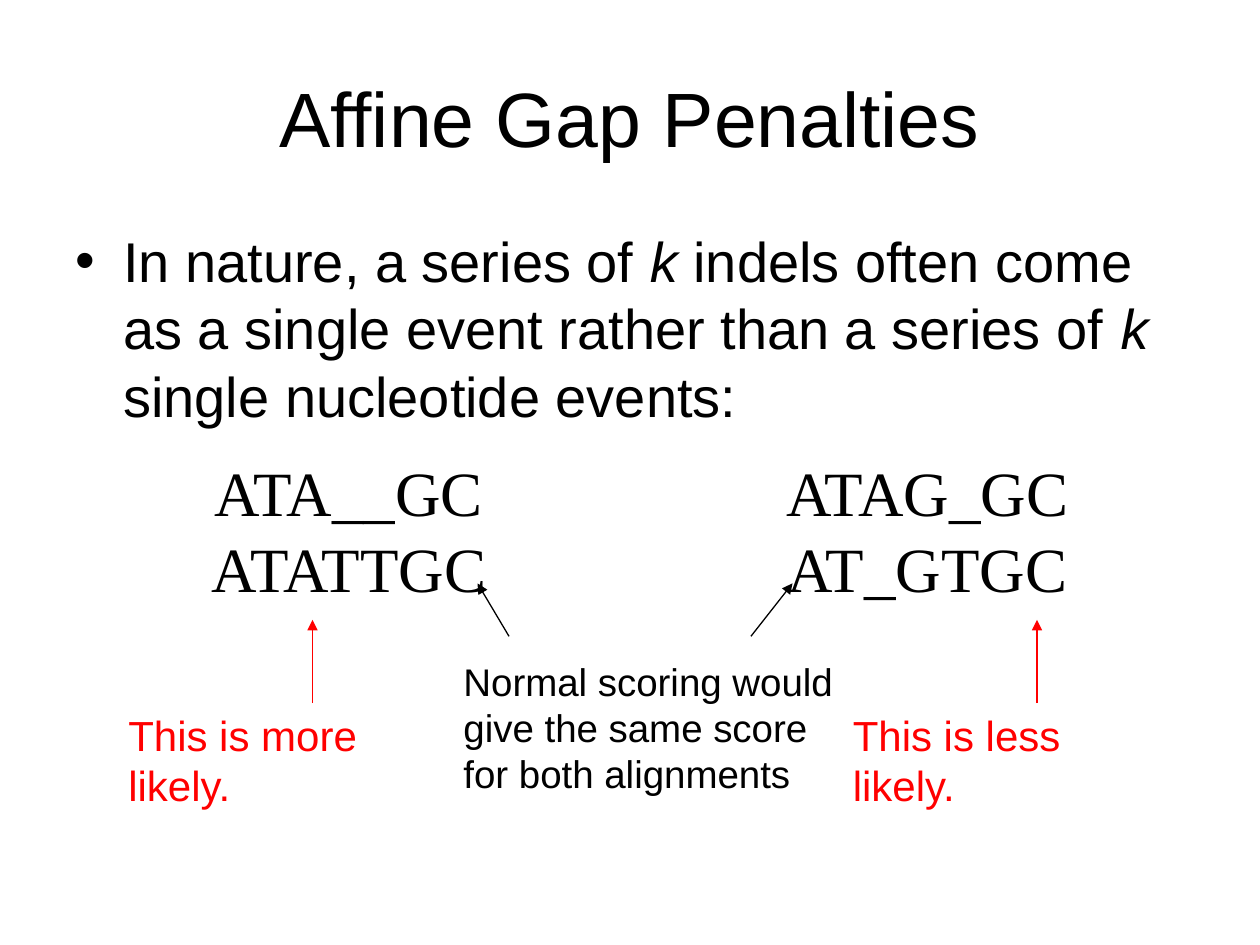
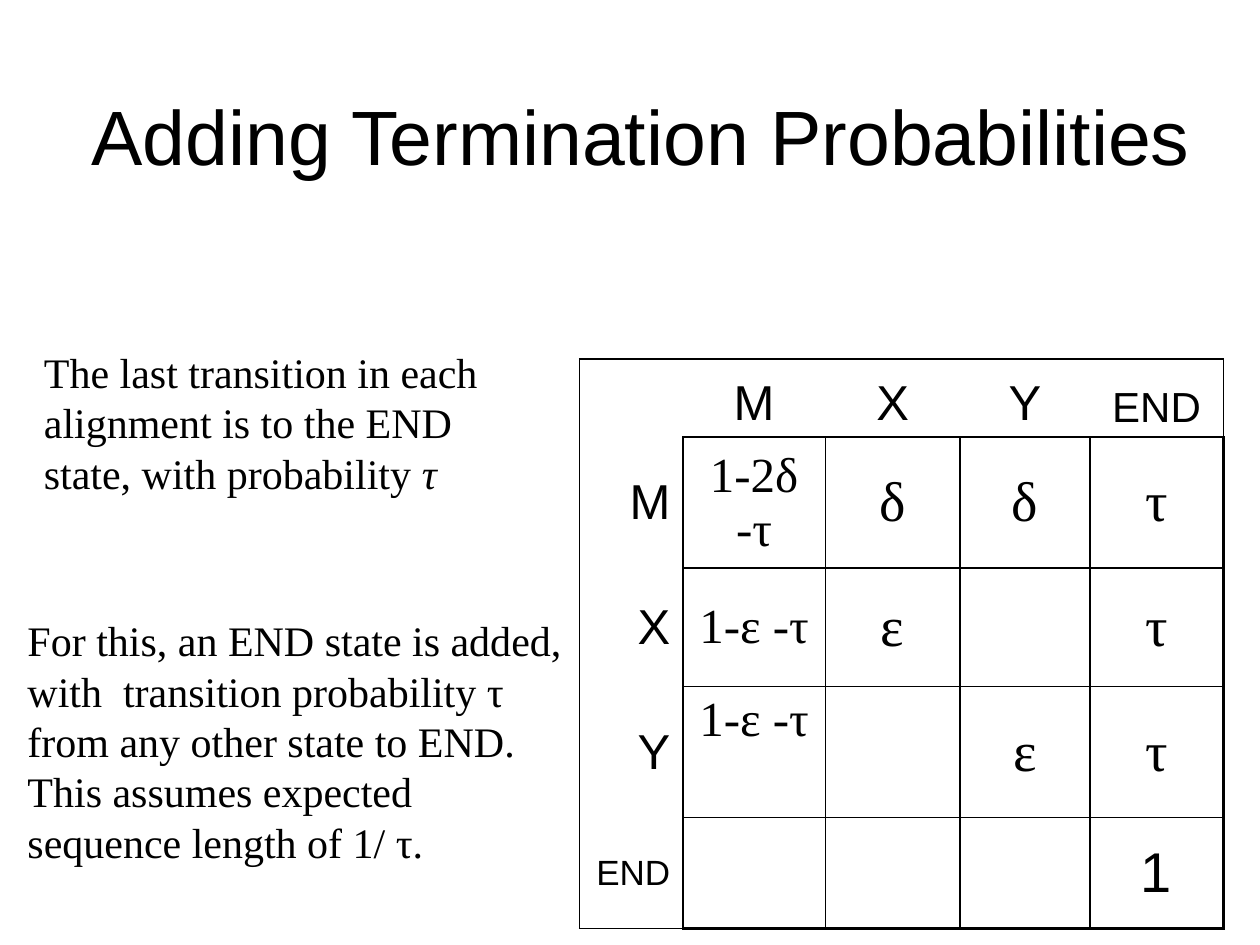
"""Build two slides on affine gap penalties and termination probabilities."""
from lxml import etree
from pptx import Presentation
from pptx import util as u
from pptx.dml.color import RGBColor
from pptx.enum import shapes, text
from pptx.oxml.ns import qn

BLACK = RGBColor(0, 0, 0)
RED = RGBColor(255, 0, 0)
SANS, SERIF = "Arial", "Times New Roman"
LEFT, CENTER, RIGHT = text.PP_ALIGN.LEFT, text.PP_ALIGN.CENTER, text.PP_ALIGN.RIGHT
TOP, MIDDLE, BOTTOM = (text.MSO_ANCHOR.TOP, text.MSO_ANCHOR.MIDDLE,
                       text.MSO_ANCHOR.BOTTOM)

NATURE = [("In nature, a series of ", False), ("k ", True),
          ("indels often come as a single event rather than a series of ", False),
          ("k", True), (" single nucleotide events:", False)]
ALIGNMENTS = [(1.52, ["ATA__GC", "ATATTGC"]), (6.11, ["ATAG_GC", "AT_GTGC"])]
SCORING = "Normal scoring would give the same score for both alignments"
SCORING_ARROWS = [((4.04, 5.05), (3.79, 4.63)), ((5.96, 5.05), (6.29, 4.63))]
VERDICTS = [(0.92, "This is more likely."), (6.67, "This is less likely.")]

LAST_STEP = [("The last transition in each alignment is to the END state, "
              "with probability ", False), ("τ", True)]
END_STATE = ("For this, an END state is added, with  transition probability τ "
             "from any other state to END. This assumes expected sequence "
             "length of 1/ τ.")
TRANSITIONS = [
    ["", "M", "X", "Y", "END"],
    ["M", "1-2δ -τ", "δ", "δ", "τ"],
    ["X", "1-ε -τ", "ε", "", "τ"],
    ["Y", "1-ε -τ", "", "ε", "τ"],
    ["END", "", "", "", "1"],
]
COLUMN_WIDTHS = [0.82, 1.13, 1.07, 1.03, 1.06]
ROW_HEIGHTS = [0.62, 1.04, 0.94, 1.04, 0.88]
THIN, THICK = 1, 2.25


def add_spans(para, content, size, font, color=BLACK, align=LEFT):
    """Fill a paragraph from a string or from (wording, italic) pairs."""
    para.alignment = align
    for wording, italic in [(content, False)] if isinstance(content, str) else content:
        span = para.add_run()
        span.text = wording
        span.font.size, span.font.name, span.font.italic = u.Pt(size), font, italic
        span.font.color.rgb = color


def add_text(page, place, paragraphs, size, font, color=BLACK, align=LEFT,
             anchor=TOP):
    """Add a text box and return its frame."""
    box = page.shapes.add_textbox(*map(u.Inches, place))
    frame = box.text_frame
    frame.word_wrap, frame.vertical_anchor = True, anchor
    for index, content in enumerate(paragraphs):
        para = frame.add_paragraph() if index else frame.paragraphs[0]
        add_spans(para, content, size, font, color, align)
    return frame


def add_titled_page(deck, title, left, top):
    """Add a blank slide with the shared title style."""
    page = deck.slides.add_slide(deck.slide_layouts[6])
    add_text(page, (left, top, 9, 1.25), [title], 44, SANS,
             align=CENTER, anchor=MIDDLE)
    return page


def add_arrow(page, start, end, color):
    """Draw a thin arrow pointing at its end."""
    arrow = page.shapes.add_connector(shapes.MSO_CONNECTOR.STRAIGHT,
                                      *map(u.Inches, start + end))
    arrow.line.color.rgb, arrow.line.width = color, u.Pt(0.75)
    etree.SubElement(arrow.line._get_or_add_ln(), qn("a:tailEnd"), type="triangle")
    etree.SubElement(arrow._element.spPr, qn("a:effectLst"))


def add_bullet(para, indent):
    """Give a paragraph a round bullet with a hanging indent."""
    properties = para._p.get_or_add_pPr()
    properties.set("marL", str(u.Inches(indent)))
    properties.set("indent", str(-u.Inches(indent)))
    etree.SubElement(properties, qn("a:buFont"), typeface=SANS)
    etree.SubElement(properties, qn("a:buChar"), char="•")


def set_borders(cell, widths):
    """Set the cell's borders from a dict of side to width, 0 for none."""
    properties = cell._tc.get_or_add_tcPr()
    for side, width in widths.items():
        line = etree.SubElement(properties, qn(f"a:ln{side}"), w=str(u.Pt(width)))
        if width:
            fill = etree.SubElement(line, qn("a:solidFill"))
            etree.SubElement(fill, qn("a:srgbClr"), val=str(BLACK))
        else:
            etree.SubElement(line, qn("a:noFill"))


def border_widths(row, column):
    """Frame the table thinly, grid its body, and thicken the body's outer edge."""
    last = len(TRANSITIONS) - 1
    return {
        "L": THIN if row or not column else 0,
        "R": (THICK if row else THIN) if column == last else THIN if row else 0,
        "T": THIN if column or not row else 0,
        "B": (THICK if column else THIN) if row == last else THIN if column else 0,
    }


def cell_style(row, column, wording):
    """Return size, font, alignment and anchor for a table cell."""
    if row == 0:
        return 24 if wording == "END" else 28, SANS, CENTER, BOTTOM
    if column == 0:
        return 20 if wording == "END" else 28, SANS, RIGHT, MIDDLE
    font = SANS if wording == "1" else SERIF
    anchor = TOP if (row, column) == (3, 1) else MIDDLE
    return 32 if len(wording) == 1 else 28, font, CENTER, anchor


def add_transition_table(page, left, top):
    """Add the table of transition probabilities."""
    frame = page.shapes.add_table(
        len(ROW_HEIGHTS), len(COLUMN_WIDTHS), u.Inches(left), u.Inches(top),
        u.Inches(sum(COLUMN_WIDTHS)), u.Inches(sum(ROW_HEIGHTS)))
    table = frame.table
    table.first_row = table.horz_banding = False
    for column, width in zip(table.columns, COLUMN_WIDTHS):
        column.width = u.Inches(width)
    for row, height in zip(table.rows, ROW_HEIGHTS):
        row.height = u.Inches(height)
    for row, wordings in enumerate(TRANSITIONS):
        for column, wording in enumerate(wordings):
            cell = table.cell(row, column)
            set_borders(cell, border_widths(row, column))
            cell.fill.background()
            if wording:
                size, font, align, cell.vertical_anchor = cell_style(row, column, wording)
                add_spans(cell.text_frame.paragraphs[0], wording, size, font, align=align)


def build_gap_page(deck):
    """Compare two alignments that normal scoring rates the same."""
    page = add_titled_page(deck, "Affine Gap Penalties", 0.5, 0.3)
    body = add_text(page, (0.5, 1.75, 9, 4.95), [NATURE], 32, SANS)
    add_bullet(body.paragraphs[0], 0.38)
    for left, sequences in ALIGNMENTS:
        add_text(page, (left, 3.55, 2.5, 1.3), sequences, 36, SERIF, align=CENTER)
    add_text(page, (3.58, 5.17, 3.21, 1.2), [SCORING], 22, SANS)
    for start, end in SCORING_ARROWS:
        add_arrow(page, start, end, BLACK)
    for left, verdict in VERDICTS:
        add_text(page, (left, 5.58, 2.46, 0.9), [verdict], 24, SANS, RED)
        add_arrow(page, (left + 1.56, 5.58), (left + 1.56, 4.92), RED)


def build_termination_page(deck):
    """Show the transition table with its END state."""
    page = add_titled_page(deck, "Adding Termination Probabilities", 0.59, 0.44)
    add_text(page, (0.12, 4.83, 4.47, 2.1), [END_STATE], 24, SERIF)
    add_transition_table(page, 4.6, 2.85)
    add_text(page, (0.25, 2.7, 4.21, 1.3), [LAST_STEP], 24, SERIF)


def main():
    """Build and save the deck."""
    deck = Presentation()
    deck.slide_width, deck.slide_height = u.Inches(10), u.Inches(7.5)
    build_gap_page(deck)
    build_termination_page(deck)
    deck.save("out.pptx")


if __name__ == "__main__":
    main()
